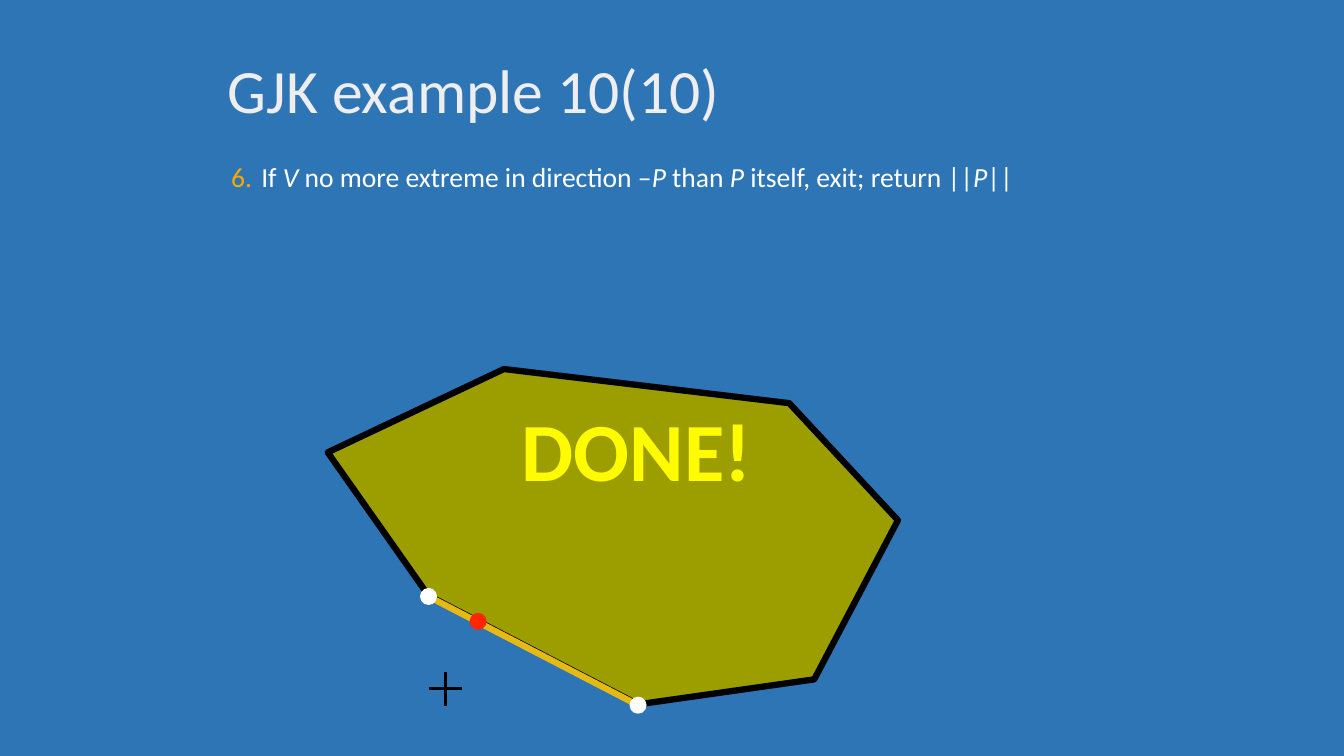
from lxml import etree
from pptx import Presentation, util as u
from pptx.dml.color import RGBColor
from pptx.enum import shapes, text
from pptx.oxml import parse_xml
from pptx.oxml.ns import nsdecls, qn

COLORS = {
    "background": "2E75B6", "title": "EEEEEE", "body": "FFFFFF", "number": "FFA900",
    "hull": "9C9E00", "outline": "000000", "simplex": "E7B913",
    "vertex": "FFFFFF", "closest": "FF2600", "done": "FFFB00",
}
FONT = "Calibri"
TITLE = "GJK example 10(10)"
STEP_NUMBER = 6
STEP = [
    ("If ", False), ("V", True), (" no more extreme in direction –", False),
    ("P", True), (" than ", False), ("P", True),
    (" itself, exit; return ||", False), ("P", True), ("||", False),
]
DONE = "DONE!"
HULL = [(22.63, 13.11), (20.52, 17.12), (16.08, 17.75), (10.8, 15.01),
        (8.26, 11.4), (12.7, 9.3), (19.89, 10.16)]
SIMPLEX = [(10.8, 15.03), (16.08, 17.77)]
CLOSEST = (12.05, 15.66)
ORIGIN = (11.22, 17.36)
ORIGIN_ARM = 0.42
DOT = 0.43


def rgb(name):
    return RGBColor.from_string(COLORS[name])


def place(part, left, top, width, height):
    part.left, part.top, part.width, part.height = map(u.Cm, (left, top, width, height))


def add_run(paragraph, words, size, color, bold=False, italic=False):
    run = paragraph.add_run()
    run.text = words
    run.font.size = u.Pt(size)
    run.font.bold = bold
    run.font.italic = italic
    run.font.color.rgb = rgb(color)
    run.font.name = FONT
    return run


def add_line(start, end, color, weight):
    line = slide.shapes.add_connector(
        shapes.MSO_CONNECTOR.STRAIGHT, *map(u.Cm, (*start, *end)))
    line.line.color.rgb = rgb(color)
    line.line.width = u.Pt(weight)
    etree.SubElement(line.element.spPr, qn("a:effectLst"))


def add_dot(center, color):
    x, y = center
    dot = slide.shapes.add_shape(
        shapes.MSO_SHAPE.OVAL, *map(u.Cm, (x - DOT / 2, y - DOT / 2, DOT, DOT)))
    dot.shadow.inherit = False
    dot.fill.solid()
    dot.fill.fore_color.rgb = rgb(color)
    dot.line.fill.background()


deck = Presentation()
deck.slide_width, deck.slide_height = u.Cm(33.87), u.Cm(19.05)
slide = deck.slides.add_slide(deck.slide_layouts[1])
slide.background.fill.solid()
slide.background.fill.fore_color.rgb = rgb("background")

title = slide.shapes.title
place(title, 5.49, 0.69, 17.78, 3.35)
title.text_frame.auto_size = text.MSO_AUTO_SIZE.NONE
title.text_frame.vertical_anchor = text.MSO_ANCHOR.MIDDLE
heading = title.text_frame.paragraphs[0]
heading.alignment = text.PP_ALIGN.LEFT
heading.line_spacing = 0.9
heading_run = add_run(heading, TITLE, 44, "title")
heading_run.font.fill._xPr.find(qn("a:solidFill")).addnext(parse_xml(
    f'<a:effectLst {nsdecls("a")}><a:outerShdw blurRad="38100" dist="38100" dir="2700000">'
    '<a:srgbClr val="000000"><a:alpha val="43000"/></a:srgbClr></a:outerShdw></a:effectLst>'))

body = slide.placeholders[1]
place(body, 5.49, 4.01, 22.86, 1.27)
body.text_frame.auto_size = text.MSO_AUTO_SIZE.NONE
step = body.text_frame.paragraphs[0]
numbering = step._p.get_or_add_pPr()
numbering.set("marL", str(u.Cm(0.84)))
numbering.set("indent", str(u.Cm(-0.76)))
number_color = etree.SubElement(numbering, qn("a:buClr"))
etree.SubElement(number_color, qn("a:srgbClr"), val=COLORS["number"])
etree.SubElement(numbering, qn("a:buFont"), typeface=FONT)
etree.SubElement(numbering, qn("a:buAutoNum"), type="arabicPeriod", startAt=str(STEP_NUMBER))
step.line_spacing = 0.9
step.space_before = u.Pt(0)
for words, italic in STEP:
    add_run(step, words, 19.7, "body", italic=italic)

outline = slide.shapes.build_freeform(*map(u.Cm, HULL[0]), scale=1.0)
outline.add_line_segments([(u.Cm(x), u.Cm(y)) for x, y in HULL[1:]], close=True)
hull = outline.convert_to_shape()
hull.shadow.inherit = False
hull.fill.solid()
hull.fill.fore_color.rgb = rgb("hull")
hull.line.color.rgb = rgb("outline")
hull.line.width = u.Pt(4.5)

x, y = ORIGIN
for dx, dy in ((0, ORIGIN_ARM), (ORIGIN_ARM, 0)):
    add_line((x - dx, y - dy), (x + dx, y + dy), "outline", 2.25)
add_line(*SIMPLEX, "simplex", 4.5)
for vertex in SIMPLEX:
    add_dot(vertex, "vertex")
add_dot(CLOSEST, "closest")

done = slide.shapes.add_textbox(*map(u.Cm, (12.9, 9.96, 7.67, 2.72)))
frame = done.text_frame
frame.word_wrap = True
frame.margin_left = frame.margin_right = frame.margin_top = frame.margin_bottom = u.Cm(0.1)
verdict = frame.paragraphs[0]
verdict._p.get_or_add_pPr().set("marL", str(u.Cm(0.15)))
add_run(verdict, DONE, 59.1, "done", bold=True)

deck.save("out.pptx")
